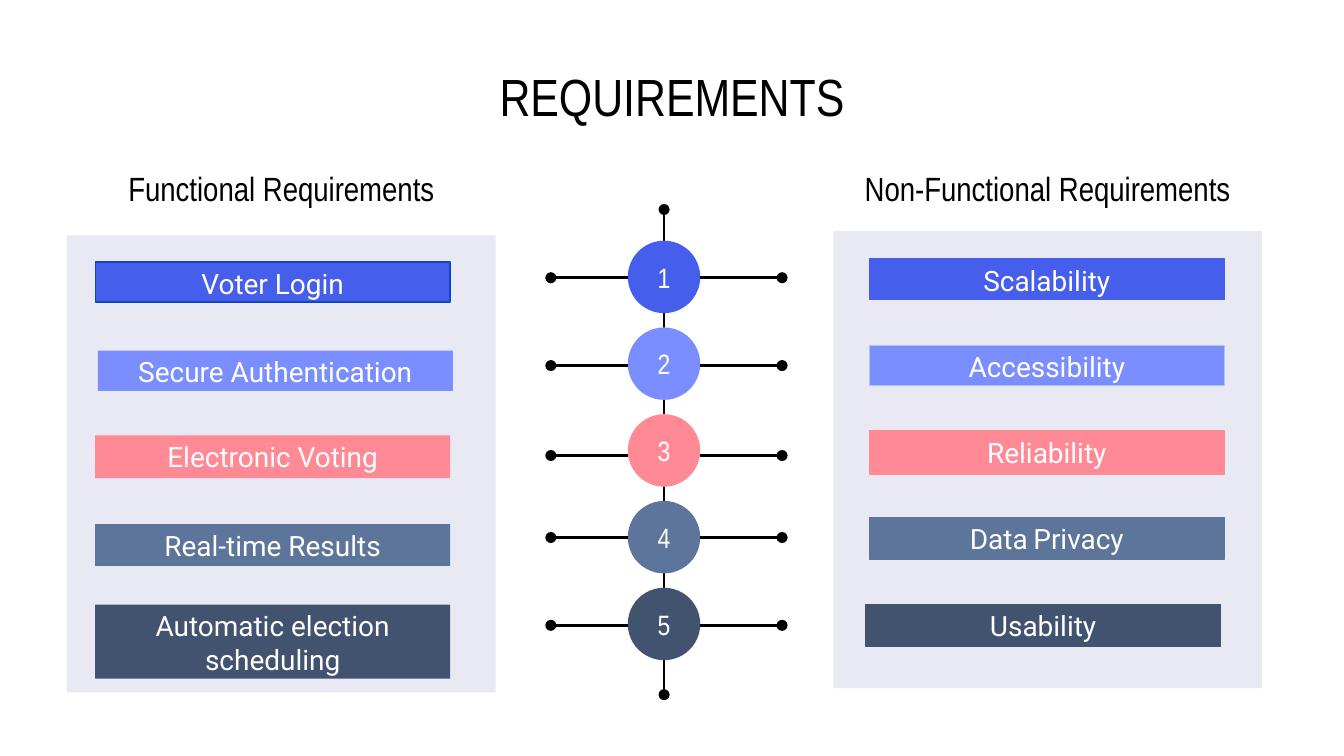
from pptx import Presentation
from pptx.dml.color import RGBColor
from pptx.enum.shapes import MSO_CONNECTOR as Connector, MSO_SHAPE as Shape
from pptx.enum.text import MSO_ANCHOR as Anchor, PP_ALIGN as Align
from pptx.oxml.ns import qn
from pptx.util import Cm, Pt
from lxml.etree import SubElement

BLACK = RGBColor(0x00, 0x00, 0x00)
WHITE = RGBColor(0xFF, 0xFF, 0xFF)
PANEL = RGBColor(0xE9, 0xE9, 0xF3)
BLUE = RGBColor(0x46, 0x5E, 0xEC)
DARK_BLUE = RGBColor(0x10, 0x46, 0xC2)
PERIWINKLE = RGBColor(0x7B, 0x8E, 0xFF)
PALE_BLUE = RGBColor(0xAC, 0xC3, 0xF8)
CORAL = RGBColor(0xFF, 0x89, 0x95)
STEEL = RGBColor(0x5D, 0x74, 0x9B)
SLATE = RGBColor(0x42, 0x53, 0x70)
ROW_COLORS = [BLUE, PERIWINKLE, CORAL, STEEL, SLATE]
NARROW, ROBOTO = "Arial Narrow", "Roboto"

# Content: bars are (runs, left, top, height, outline), lengths in cm
TITLE = "REQUIREMENTS"
COLUMNS = [
    {"heading": "Functional Requirements", "left": 1.27, "top": 4.45, "bars": [
        (["Voter Login"], 1.8, 4.95, 0.76, DARK_BLUE),
        (["Secure Authentication"], 1.85, 6.63, 0.76, None),
        (["Electronic Voting"], 1.8, 8.23, 0.81, None),
        (["Real-time Results"], 1.8, 9.91, 0.79, None),
        (["Automatic election scheduling"], 1.8, 11.43, 1.4, None)]},
    {"heading": "Non-Functional Requirements", "left": 15.75, "top": 4.37, "bars": [
        (["Scalability"], 16.43, 4.9, 0.76, BLUE),
        (["Accessibility"], 16.43, 6.53, 0.76, PALE_BLUE),
        (["Reliability"], 16.43, 8.15, 0.81, CORAL),
        (["Data", (" ", 12), "Privacy"], 16.43, 9.78, 0.79, STEEL),
        (["Usability"], 16.36, 11.43, 0.79, SLATE)]},
]
BRANCH_HEIGHTS = [5.25, 6.91, 8.61, 10.16, 11.82]

COLUMN_WIDTH, PANEL_HEIGHT, BAR_WIDTH = 8.1, 8.64, 6.71
CENTER, DIAMETER, FIRST_CIRCLE, CIRCLE_STEP = 12.55, 1.37, 4.55, 1.64
BRANCH_ENDS = [(-1, 10.41), (1, 14.78)]

deck = Presentation()
deck.slide_width, deck.slide_height = Cm(25.4), Cm(14.29)
page = deck.slides.add_slide(deck.slide_layouts[6])


def write(box, runs, *, size, font=NARROW, color=BLACK, inset=0.25, anchor=Anchor.TOP):
    """Centre the runs in the box; a run may be a (text, size) pair."""
    frame = box.text_frame
    frame.word_wrap = True
    frame.vertical_anchor = anchor
    frame.margin_left = frame.margin_right = frame.margin_bottom = Cm(0.25)
    frame.margin_top = Cm(inset)
    para = frame.paragraphs[0]
    para.alignment = Align.CENTER
    for run in runs:
        text, run_size = run if isinstance(run, tuple) else (run, size)
        span = para.add_run()
        span.text = text
        span.font.name, span.font.size = font, Pt(run_size)
        span.font.color.rgb = color


def add_text_box(left, top, width, height):
    return page.shapes.add_textbox(Cm(left), Cm(top), Cm(width), Cm(height))


def add_filled(kind, left, top, width, height, fill, outline=None):
    box = page.shapes.add_shape(kind, Cm(left), Cm(top), Cm(width), Cm(height))
    box.shadow.inherit = False
    box.fill.solid()
    box.fill.fore_color.rgb = fill
    if outline is None:
        box.line.fill.background()
    else:
        box.line.color.rgb = outline
        box.line.width = Pt(0.75)
    return box


def add_line(x1, y1, x2, y2, ends):
    line = page.shapes.add_connector(Connector.STRAIGHT, Cm(x1), Cm(y1), Cm(x2), Cm(y2))
    line.line.color.rgb = BLACK
    line.line.width = Pt(1.5)
    for end in ends:
        SubElement(line.line._get_or_add_ln(), qn(f"a:{end}"), type="oval")
    SubElement(line._element.spPr, qn("a:effectLst"))


# Title
write(add_text_box(1.27, 1.14, 22.86, 1.35), [TITLE], size=28, anchor=Anchor.MIDDLE)

# Requirement columns
for column in COLUMNS:
    add_filled(Shape.RECTANGLE, column["left"], column["top"], COLUMN_WIDTH, PANEL_HEIGHT, PANEL)
    heading = add_text_box(column["left"], 3.12, COLUMN_WIDTH, 0.76)
    write(heading, [column["heading"]], size=18, inset=0.05)
    for (runs, left, top, height, outline), color in zip(column["bars"], ROW_COLORS):
        bar = add_filled(Shape.RECTANGLE, left, top, BAR_WIDTH, height, color, outline)
        write(bar, runs, size=15, font=ROBOTO, color=WHITE, inset=0.08)

# Spine with numbered circles and their branches
add_line(CENTER, 3.96, CENTER, 13.13, ["headEnd", "tailEnd"])
for index, (color, branch) in enumerate(zip(ROW_COLORS, BRANCH_HEIGHTS)):
    circle = add_filled(Shape.OVAL, CENTER - DIAMETER / 2, FIRST_CIRCLE + index * CIRCLE_STEP,
                        DIAMETER, DIAMETER, color)
    write(circle, [str(index + 1)], size=15, color=WHITE, anchor=Anchor.MIDDLE)
    for side, end in BRANCH_ENDS:
        add_line(CENTER + side * DIAMETER / 2, branch, end, branch, ["tailEnd"])

deck.save("out.pptx")
